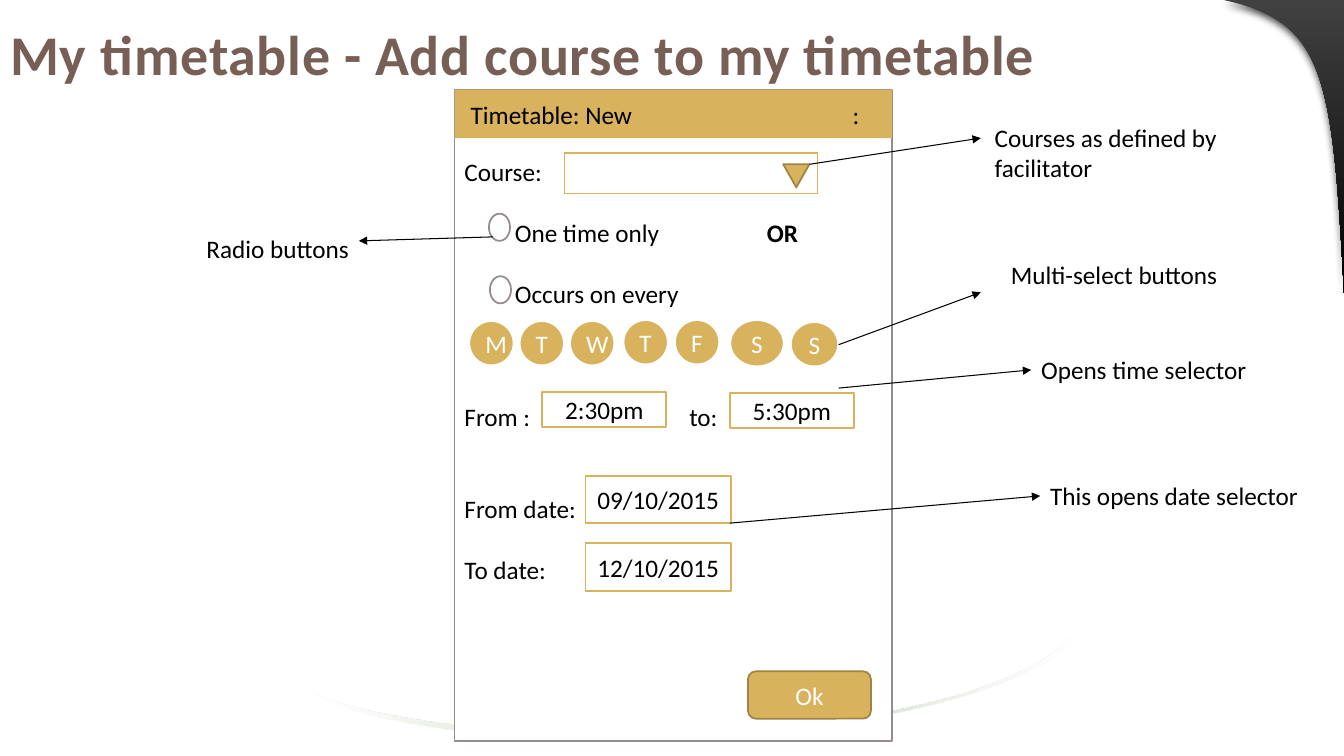
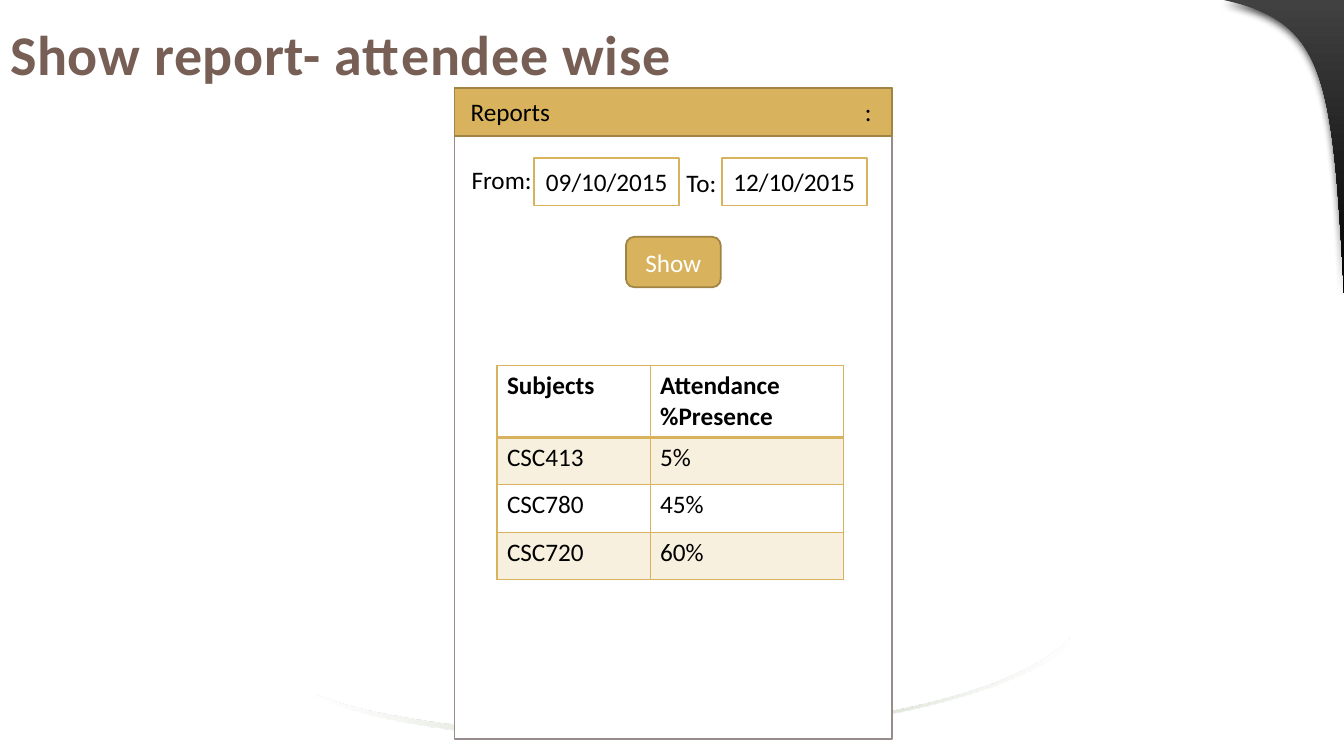
from dataclasses import dataclass

from lxml.etree import SubElement
from pptx import Presentation
from pptx.dml.color import RGBColor
from pptx.enum.shapes import MSO_CONNECTOR, MSO_SHAPE
from pptx.enum.text import MSO_ANCHOR, MSO_AUTO_SIZE, PP_ALIGN
from pptx.oxml import parse_xml
from pptx.oxml.ns import nsdecls, qn
from pptx.util import Inches, Pt

GRID_COLUMNS, GRID_ROWS = 133.33, 75
SLIDE_HEIGHT = Inches(7.5)
CELL = SLIDE_HEIGHT / GRID_ROWS
FONT = "Calibri"
GOLD, BRONZE, PALE_GOLD = "D8B25C", "A08444", "F7F0DE"
WHITE, BLACK, GREY, BROWN = "FFFFFF", "000000", "968C8C", "775F55"
LINE_HEIGHT = 22


@dataclass
class Area:
    left: float
    top: float
    width: float
    height: float

    def inner(self, left, top, width, height):
        return Area(self.left + left, self.top + top, width, height)

    def lengths(self):
        return [cells(n) for n in (self.left, self.top, self.width, self.height)]


PHONE = Area(45.1, 8.9, 43.4, 64.6)


def cells(count):
    return round(count * CELL)


def colour(hex_string):
    return RGBColor.from_string(hex_string)


def add_span(para, text, ink=BLACK, bold=False, size=18):
    span = para.add_run()
    span.text = text
    span.font.name = FONT
    span.font.size = Pt(size)
    span.font.bold = bold
    span.font.color.rgb = colour(ink)
    return span


def set_tabs(para, stops):
    tabs = SubElement(para._p.get_or_add_pPr(), qn("a:tabLst"))
    for stop in stops:
        SubElement(tabs, qn("a:tab"), pos=str(cells(stop)), algn="l")


def add_box(shapes, area, kind=MSO_SHAPE.RECTANGLE, text="", fill=WHITE,
            edge=GOLD, ink=BLACK, edge_width=1.25):
    box = shapes.add_shape(kind, *area.lengths())
    box.shadow.inherit = False
    box.fill.solid()
    box.fill.fore_color.rgb = colour(fill)
    if edge:
        box.line.color.rgb = colour(edge)
        box.line.width = Pt(edge_width)
    else:
        box.line.fill.background()
    if text:
        para = box.text_frame.paragraphs[0]
        para.alignment = PP_ALIGN.CENTER
        add_span(para, text, ink)
    return box


def add_button(page, area, text):
    add_box(page.shapes, area, MSO_SHAPE.ROUNDED_RECTANGLE, text, GOLD, BRONZE, WHITE)


def add_label(page, area, text, wrap=True, anchor=MSO_ANCHOR.TOP):
    box = page.shapes.add_textbox(*area.lengths())
    box.text_frame.word_wrap = wrap
    box.text_frame.vertical_anchor = anchor
    add_span(box.text_frame.paragraphs[0], text)
    return box


def add_arrow(page, start, end, target=None):
    arrow = page.shapes.add_connector(
        MSO_CONNECTOR.STRAIGHT, *[cells(n) for n in (*start, *end)])
    if target is not None:
        arrow.end_connect(target, 1)
    arrow.line.color.rgb = colour(BLACK)
    arrow.line.width = Pt(0.75)
    outline = arrow.element.spPr.find(qn("a:ln"))
    SubElement(outline, qn("a:tailEnd"), type="triangle")
    SubElement(arrow.element.spPr, qn("a:effectLst"))


def curve(start, first, second, end, steps=32):
    points = []
    for step in range(steps + 1):
        t = step / steps
        weights = ((1 - t) ** 3, 3 * t * (1 - t) ** 2, 3 * t * t * (1 - t), t ** 3)
        points.append(tuple(
            sum(w * p[axis] for w, p in zip(weights, (start, first, second, end)))
            for axis in (0, 1)))
    return points


def shadow_xml(blur, distance, angle, alpha):
    return parse_xml(
        f'<a:effectLst {nsdecls("a")}><a:outerShdw blurRad="{Pt(blur)}" '
        f'dist="{Pt(distance)}" dir="{angle * 60000}" algn="tl" rotWithShape="0">'
        f'<a:srgbClr val="{BLACK}"><a:alpha val="{alpha * 1000}"/></a:srgbClr>'
        '</a:outerShdw></a:effectLst>')


def add_ornament(page, layout, points, stops, angle, shadow=None):
    outline = [(cells(x), cells(y)) for x, y in points]
    builder = page.shapes.build_freeform(*outline[0], scale=1.0)
    builder.add_line_segments(outline[1:], close=True)
    ornament = builder.convert_to_shape()
    ornament.line.fill.background()
    ornament.shadow.inherit = False
    marks = "".join(
        f'<a:gs pos="{place * 1000}"><a:srgbClr val="{ink}">'
        f'<a:alpha val="{alpha * 1000}"/></a:srgbClr></a:gs>'
        for place, ink, alpha in stops)
    properties = ornament.element.spPr
    properties.find(qn("a:custGeom")).addnext(parse_xml(
        f'<a:gradFill {nsdecls("a")} rotWithShape="1"><a:gsLst>{marks}</a:gsLst>'
        f'<a:lin ang="{angle * 60000}" scaled="0"/></a:gradFill>'))
    if shadow is not None:
        properties.replace(properties.find(qn("a:effectLst")), shadow)
    layout.shapes.element.insert(2, ornament.element)


def decorate_layout(page, layout):
    swoosh = (curve((106.2, 64), (95, 74), (46.7, 76.2), (31.2, 69))
              + curve((31.2, 68.8), (46.7, 75), (95.4, 74.3), (106.2, 63.3)))
    corner = [(121.4, 0), (GRID_COLUMNS, 0)] + curve(
        (GRID_COLUMNS, 29.1), (132.2, 7.1), (131.3, 2.2), (121.4, 0))
    add_ornament(page, layout, corner, [(0, "414141", 100), (100, BLACK, 100)],
                 90, shadow_xml(6, 3, 90, 75))
    add_ornament(page, layout, swoosh,
                 [(0, WHITE, 30), (50, "9CB084", 100), (100, WHITE, 30)], 0)


def add_page(deck, layout, title):
    page = deck.slides.add_slide(layout)
    box = page.shapes.title
    box.left, box.top, box.width, box.height = Area(0, 0, 113.2, 10.6).lengths()
    frame = box.text_frame
    frame.auto_size = MSO_AUTO_SIZE.NONE
    frame.vertical_anchor = MSO_ANCHOR.MIDDLE
    para = frame.paragraphs[0]
    para.alignment = PP_ALIGN.LEFT
    add_span(para, title, BROWN, True, 40)
    properties = next(box.element.iter(qn("a:rPr")))
    properties.set("spc", "50")
    properties.find(qn("a:solidFill")).addnext(shadow_xml(3, 3, 45, 60))
    return page


def add_phone(page, area, heading, menu_column, bar_edge=None, rows=()):
    panel = add_box(page.shapes, area, edge=GREY)
    frame = panel.text_frame
    frame.vertical_anchor = MSO_ANCHOR.TOP
    for index, (blank_lines, stops, spans) in enumerate(rows):
        para = frame.paragraphs[0] if index == 0 else frame.add_paragraph()
        para.alignment = PP_ALIGN.LEFT
        if index == 0:
            frame.margin_top = Inches(0.05) + Pt(blank_lines * LINE_HEIGHT)
        else:
            para.space_before = Pt(blank_lines * LINE_HEIGHT)
        set_tabs(para, stops)
        for text, bold in spans:
            add_span(para, text, bold=bold)
    bar = add_box(page.shapes, area.inner(0, 0, area.width, 4.8), fill=GOLD, edge=bar_edge)
    bar.text_frame.margin_left = cells(1.6)
    para = bar.text_frame.paragraphs[0]
    para.alignment = PP_ALIGN.LEFT
    set_tabs(para, [menu_column])
    add_span(para, f"{heading}\t:")


def add_weekdays(page, area):
    group = page.shapes.add_group_shape()
    days = [("M", 0, 0.1, 4.5, 4.5), ("T", 5, 0.1, 4.5, 4.5), ("W", 10, 0.1, 4.5, 4.5),
            ("T", 15.3, 0, 4.5, 4.5), ("F", 20.4, 0, 4.5, 4.5),
            ("S", 25.9, 0, 5.4, 4.7), ("S", 31.9, 0.2, 4.8, 4.5)]
    for letter, *place in days:
        add_box(group.shapes, area.inner(*place), MSO_SHAPE.OVAL, letter,
                GOLD, WHITE, WHITE, 2)


def add_course_form(page, area):
    rows = [(2, [], [("Course:", False)]),
            (1, [5, 30], [("\tOne time only\t", False), ("OR", True)]),
            (1, [5], [("\tOccurs on every", False)]),
            (3, [22.3], [("From :\tto:", False)]),
            (2, [], [("From date:", False)]),
            (1, [], [("To date:", False)])]
    add_phone(page, area, "Timetable: New", 37.9, rows=rows)
    add_weekdays(page, area.inner(1.4, 22.8, 36.7, 4.7))
    add_box(page.shapes, area.inner(10.9, 6.3, 25.1, 4))
    arrow_down = add_box(page.shapes, area.inner(32.6, 7.4, 2.6, 2.3),
                         MSO_SHAPE.ISOSCELES_TRIANGLE, fill=GOLD, edge=BRONZE)
    arrow_down.element.spPr.find(qn("a:xfrm")).set("flipV", "1")
    for text, *place in [("2:30pm", 8.7, 30, 12.3, 3.5), ("5:30pm", 27.3, 30.1, 12.3, 3.5),
                         ("09/10/2015", 13, 38.3, 14.4, 4.7),
                         ("12/10/2015", 13, 45, 14.4, 4.7)]:
        add_box(page.shapes, area.inner(*place), text=text)
    add_button(page, area.inner(29.1, 57.7, 12.2, 4.7), "Ok")
    for left, top in [(3.4, 12.3), (3.5, 18.5)]:
        add_box(page.shapes, area.inner(left, top, 2.1, 2.7), MSO_SHAPE.OVAL, edge=GREY)


def add_callouts(page):
    callouts = [
        ("Opens time selector", Area(102.3, 34.7, 23.9, 4), True, (83.2, 38.5), (101.9, 36.7), True),
        ("This opens date selector", Area(103.2, 47.2, 28.5, 4), True, (72.4, 51.9), (103.1, 49.5), True),
        ("Multi-select buttons", Area(99.3, 25.2, 23.4, 4), False, (83.2, 34.2), (97.3, 29), False),
        ("Courses as defined by facilitator", Area(97.7, 11.6, 29.4, 7.1), True,
         (80.3, 16.3), (97.3, 13.7), False),
        ("Radio buttons", Area(19.5, 22.7, 16.4, 4), False, (48.9, 23.5), (35.6, 23.9), False)]
    for text, area, wrap, start, end, joined in callouts:
        label = add_label(page, area, text, wrap)
        add_arrow(page, start, end, label if joined else None)


def set_borders(cell, bottom_width):
    properties = cell._tc.get_or_add_tcPr()
    for side in ("L", "R", "T", "B"):
        width = bottom_width if side == "B" else 1
        border = SubElement(properties, qn(f"a:ln{side}"), w=str(Pt(width)))
        fill = SubElement(border, qn("a:solidFill"))
        SubElement(fill, qn("a:srgbClr"), val=GOLD)


def add_attendance(page, area):
    records = [(["Subjects"], ["Attendance", "%Presence"]),
               (["CSC413"], ["5%"]), (["CSC780"], ["45%"]), (["CSC720"], ["60%"])]
    table = page.shapes.add_table(len(records), 2, *area.lengths()).table
    table.first_row = table.horz_banding = False
    for column, width in zip(table.columns, (15.2, 19.2)):
        column.width = cells(width)
    for number, record in enumerate(records):
        table.rows[number].height = cells(4.7 if number else 7)
        for cell, lines in zip(table.rows[number].cells, record):
            set_borders(cell, 1 if number else 2)
            if number % 2:
                cell.fill.solid()
                cell.fill.fore_color.rgb = colour(PALE_GOLD)
            else:
                cell.fill.background()
            for index, line in enumerate(lines):
                frame = cell.text_frame
                para = frame.add_paragraph() if index else frame.paragraphs[0]
                add_span(para, line, bold=number == 0)


def add_report(page, area):
    add_phone(page, area, "Reports", 39.1, BRONZE)
    add_attendance(page, area.inner(4.2, 27.6, 34.4, 21.1))
    for text, left, top in [("From:", 0.7, 6.4), ("To:", 22, 6.7)]:
        add_label(page, area.inner(left, top, 9.5, 5.4), text, anchor=MSO_ANCHOR.MIDDLE)
    for text, left in [("09/10/2015", 7.9), ("12/10/2015", 26.5)]:
        add_box(page.shapes, area.inner(left, 7, 14.4, 4.7), text=text)
    add_button(page, area.inner(17, 14.8, 9.4, 5), "Show")


def main():
    deck = Presentation()
    deck.slide_width, deck.slide_height = cells(GRID_COLUMNS), SLIDE_HEIGHT
    layout = deck.slide_layouts.get_by_name("Title Only")
    form = add_page(deck, layout, "My timetable - Add course to my timetable")
    decorate_layout(form, layout)
    add_course_form(form, PHONE)
    add_callouts(form)
    report = add_page(deck, layout, "Show report- attendee wise")
    add_report(report, PHONE.inner(0, -0.2, PHONE.width, PHONE.height))
    deck.save("out.pptx")


if __name__ == "__main__":
    main()
